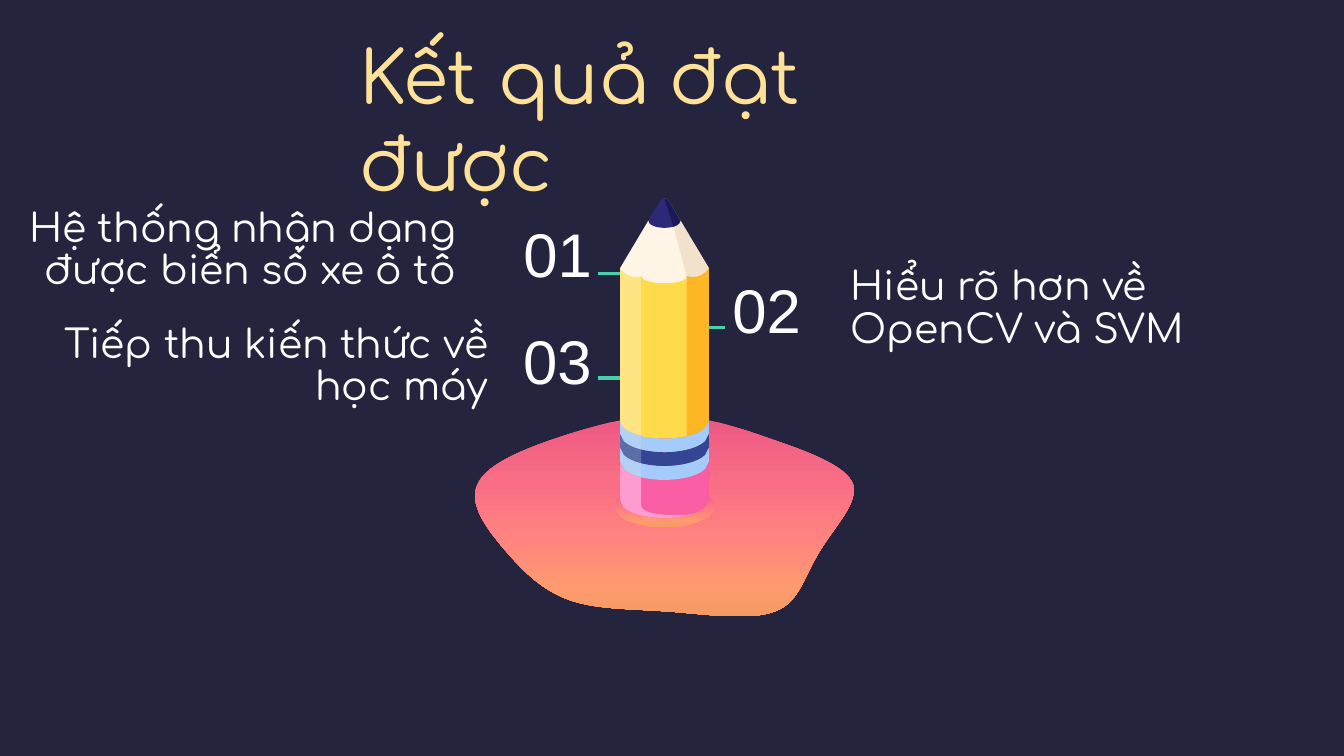
"""Build the slide of project results around a pencil standing on a coral island."""
import copy
import math

import pptx
import pptx.dml.color
import pptx.enum.shapes
import pptx.enum.text
import pptx.oxml
import pptx.oxml.ns
import pptx.util

COLUMNS, ROWS = 1333, 750
CELL = pptx.util.Inches(0.01)
FINE = 100
AXIS = 659
LEFT, RIGHT = 615, 703
RIDGE_LEFT, RIDGE_RIGHT = 636, 681
SHOULDER, RIM = 266, 219
BODY_END, BAND_HEIGHT, BAND_COUNT = 417, 13.7, 3
ERASER_TOP, ERASER_END = 458, 496

THEME = {
    "background": "24243E", "title": "FFE197", "text": "FFFFFF", "accent": "48CFAD",
    "wood": "FFF5E6", "wood shade": "F2E2CC", "lead": "2D2979", "lead shade": "1A1A5B",
    "body light": "FFE484", "body": "FFDB4C", "body dark": "FDB724",
    "band": "A5CBFA", "band dark": "344593", "gloss": "DAE6EA",
    "eraser": "F95DA4", "eraser light": "FD9CCF",
    "sunset": [(0, "ED5883"), (0.34, "F96E85"), (0.6, "FF8380"), (0.85, "FF996F"), (1, "F49B64")],
    "title size": 52, "number size": 44, "label size": 28, "line width": 2.25,
    "number font": "Arial", "label font": "Comfortaa",
}


def arc(left, right, base, radius=44, depth=18, steps=24):
    """Return points from left to right on a half ellipse hanging below base."""
    xs = [left + (right - left) * step / steps for step in range(steps + 1)]
    return [(x, base + depth * math.sqrt(max(0, 1 - ((x - AXIS) / radius) ** 2))) for x in xs]


def bezier(start, controls, steps=16):
    """Return points along joined cubic curves, three control points to a curve."""
    points = [start]
    for index in range(0, len(controls), 3):
        knots = [points[-1], *controls[index:index + 3]]
        for step in range(1, steps + 1):
            t = step / steps
            weights = ((1 - t) ** 3, 3 * t * (1 - t) ** 2, 3 * t * t * (1 - t), t ** 3)
            points.append(tuple(sum(w * knot[axis] for w, knot in zip(weights, knots)) for axis in (0, 1)))
    return points


presentation = pptx.Presentation()
presentation.slide_width = COLUMNS * CELL
presentation.slide_height = ROWS * CELL
slide = presentation.slides.add_slide(presentation.slide_layouts[6])
slide.background.fill.solid()
slide.background.fill.fore_color.rgb = pptx.dml.color.RGBColor.from_string(THEME["background"])

island = bezier((766, 436), [
    (801, 448), (839, 462), (846, 480), (852, 499), (828, 522), (813, 547),
    (798, 571), (793, 597), (770, 606), (746, 616), (705, 610), (667, 607),
    (629, 604), (594, 605), (567, 596), (540, 587), (521, 569), (502, 547),
    (483, 525), (464, 500), (474, 480), (483, 460), (521, 445), (557, 433),
    (594, 421), (628, 412), (663, 412), (697, 413), (730, 423), (766, 436)])
hollow = [(AXIS + 49.5 * math.cos(math.tau * step / 60), 503 + 20 * math.sin(math.tau * step / 60))
          for step in range(60)]

left_scallop = bezier((LEFT, SHOULDER), [(615, 267), (618, 271), (625, 274), (629, 275), (634, 275), (636, 274)])
right_scallop = [(2 * AXIS - x, y) for x, y in left_scallop]
right_scallop[-1] = (RIDGE_RIGHT, 274)
ridge_scallop = arc(RIDGE_LEFT, RIDGE_RIGHT, 274, 23, 7)
tip_rim = arc(643, 675, RIM, 16, 7)
tip_right = [(675, RIM), (663, 199), (661, 197.5), (AXIS, 197)]

bands = []
for index in range(BAND_COUNT):
    top = BODY_END + index * BAND_HEIGHT
    outline = arc(LEFT, RIGHT, top) + arc(LEFT, RIGHT, top + BAND_HEIGHT)[::-1]
    bands.append((outline, "band dark" if index == 1 else "band", 100))

eraser_edge = bezier((RIDGE_LEFT, 501), [(636, 509), (654, 511), (669, 511), (678, 511), (685, 511), (689, 509)])

pencil = [
    ([(LEFT, SHOULDER), (643, RIM), (675, RIM), (RIGHT, SHOULDER), (RIGHT, 292), (LEFT, 292)], "wood", 100),
    ([(AXIS, 197), (668, 225), (681, 274), (681, 279), (RIGHT, 279), (RIGHT, SHOULDER), *tip_right[:-1]],
     "wood shade", 100),
    (arc(LEFT, RIGHT, ERASER_TOP) + arc(LEFT, RIGHT, ERASER_END)[::-1], "eraser", 100),
    *bands,
    (left_scallop + arc(LEFT, 644, BODY_END)[::-1], "body light", 100),
    (right_scallop + arc(673, RIGHT, BODY_END), "body dark", 100),
    (ridge_scallop + arc(RIDGE_LEFT, RIDGE_RIGHT, BODY_END)[::-1], "body", 100),
    (tip_rim + tip_right + [(655, 199)], "lead", 100),
    ([(AXIS, 197), (668, 225), (672, 223), *tip_right[:-1]], "lead shade", 100),
    (arc(LEFT, RIDGE_LEFT, BODY_END) + arc(LEFT, RIDGE_LEFT, ERASER_TOP)[::-1], "gloss", 25),
    (arc(LEFT, RIDGE_LEFT, ERASER_TOP) + eraser_edge + arc(LEFT, 689, ERASER_END)[::-1], "eraser light", 100),
]

pointers = [(593, 671, 271), (593, 671, 375), (642, 719, 325)]
drawing = [(island, "sunset", 100), *pointers, (hollow, "sunset", 100), *pencil]

for item in drawing:
    if item in pointers:
        start, end, row = item
        pointer = slide.shapes.add_connector(
            pptx.enum.shapes.MSO_CONNECTOR.STRAIGHT, start * CELL, row * CELL, end * CELL, row * CELL)
        pointer.line.color.rgb = pptx.dml.color.RGBColor.from_string(THEME["accent"])
        pointer.line.width = pptx.util.Pt(THEME["line width"])
        pptx.oxml.ns.qn("a:effectLst")
        pointer._element.spPr.append(pptx.oxml.parse_xml(f"<a:effectLst {pptx.oxml.ns.nsdecls('a')}/>"))
        continue
    points, color, opacity = item
    points = [(x * FINE, y * FINE) for x, y in points]
    builder = slide.shapes.build_freeform(*points[0], scale=CELL / FINE)
    builder.add_line_segments(points[1:], close=True)
    shape = builder.convert_to_shape()
    shape.shadow.inherit = False
    shape.line.fill.background()
    if color == "sunset":
        shape.fill.gradient()
        shape.fill.gradient_angle = 270
        stop_list = shape._element.spPr.find(".//" + pptx.oxml.ns.qn("a:gsLst"))
        while len(stop_list) < len(THEME[color]):
            stop_list.append(copy.deepcopy(stop_list[0]))
        for stop, (position, tint) in zip(shape.fill.gradient_stops, THEME[color]):
            stop.position = position
            stop.color.rgb = pptx.dml.color.RGBColor.from_string(tint)
    else:
        shape.fill.solid()
        shape.fill.fore_color.rgb = pptx.dml.color.RGBColor.from_string(THEME[color])
    if opacity < 100:
        tone = shape._element.spPr.find(".//" + pptx.oxml.ns.qn("a:srgbClr"))
        tone.append(pptx.oxml.parse_xml(f'<a:alpha {pptx.oxml.ns.nsdecls("a")} val="{opacity * 1000}"/>'))

ALIGN = pptx.enum.text.PP_ALIGN
ANCHOR = pptx.enum.text.MSO_ANCHOR
texts = [
    ("Kết quả đạt được", "title", (357, 31, 604, 88), ALIGN.LEFT, ANCHOR.TOP),
    ("01", "number", (494, 213, 118, 83), ALIGN.CENTER, ANCHOR.TOP),
    ("03", "number", (478, 319, 150, 83), ALIGN.CENTER, ANCHOR.TOP),
    ("02", "number", (693, 270, 135, 83), ALIGN.CENTER, ANCHOR.MIDDLE),
    ("Hệ thống nhận dạng được biển số xe ô tô", "label", (9, 218, 453, 83), ALIGN.RIGHT, ANCHOR.BOTTOM),
    ("Tiếp thu kiến thức về học máy", "label", (5, 353, 489, 63), ALIGN.RIGHT, ANCHOR.BOTTOM),
    ("Hiểu rõ hơn về OpenCV và SVM", "label", (834, 296, 407, 63), ALIGN.LEFT, ANCHOR.BOTTOM),
]
for text, role, box, alignment, anchor in texts:
    frame = slide.shapes.add_textbox(*(length * CELL for length in box)).text_frame
    frame.word_wrap = True
    frame.vertical_anchor = anchor
    inset = 0 if role == "title" else 10 * CELL
    frame.margin_left = frame.margin_right = frame.margin_top = frame.margin_bottom = inset
    frame.text = text
    paragraph = frame.paragraphs[0]
    paragraph.alignment = alignment
    paragraph.line_spacing = 1.0 if role == "title" else 0.9
    font = paragraph.runs[0].font
    font.name = THEME["number font" if role == "number" else "label font"]
    font.size = pptx.util.Pt(THEME[f"{role} size"])
    font.color.rgb = pptx.dml.color.RGBColor.from_string(THEME["title" if role == "title" else "text"])

presentation.save("out.pptx")
